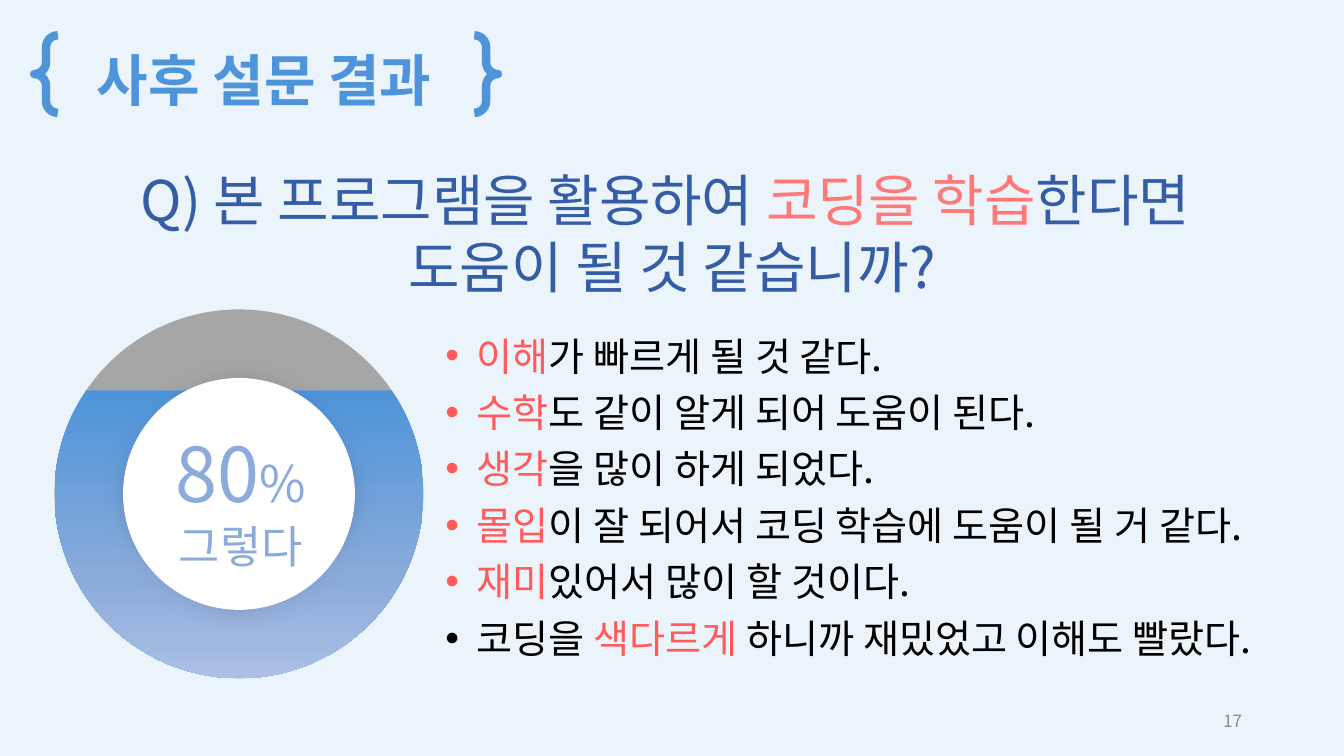
from copy import deepcopy
from dataclasses import dataclass
from math import asin, cos, pi, sin

from lxml.etree import SubElement
from pptx import Presentation
from pptx.dml.color import RGBColor
from pptx.enum.shapes import MSO_SHAPE
from pptx.enum.text import MSO_ANCHOR, PP_ALIGN
from pptx.oxml.ns import qn
from pptx.shapes.base import BaseShape
from pptx.slide import Slide
from pptx.text.text import TextFrame
from pptx.util import Inches, Pt

WIDTH, HEIGHT = Inches(13.333), Inches(7.5)
FONT = "Noto Sans CJK KR"
BLUE, NAVY, PALE_BLUE = "4E94DA", "345DA6", "8BABDA"
CORAL, PINK, BLACK = "FF5B5B", "FF7979", "000000"
RING_GRADIENT = [(0, BLUE), (0.65, PALE_BLUE), (1, "ABC0E4")]
RING_X, RING_Y = int(WIDTH * 0.1778), int(HEIGHT * 0.6533)
RING_SHARE = 0.488
BAND_TOP = 0.5165


@dataclass
class Box:
    """A rectangle in percent of the slide's width and height."""
    left: float
    top: float
    width: float
    height: float

    def lengths(self) -> tuple[int, int, int, int]:
        return (int(WIDTH * self.left / 100), int(HEIGHT * self.top / 100),
                int(WIDTH * self.width / 100), int(HEIGHT * self.height / 100))


@dataclass
class Piece:
    text: str
    color: str
    size: float | None = None


@dataclass
class TextBlock:
    box: Box
    lines: list[list[Piece]]
    size: float
    align: PP_ALIGN = PP_ALIGN.CENTER
    bold: bool = False
    bullets: bool = False
    wrap: bool = False
    anchor: MSO_ANCHOR = MSO_ANCHOR.TOP


TITLE = TextBlock(Box(1.05, 5.33, 37.2, 10.27), [[Piece("사후 설문 결과", BLUE)]],
                  40, bold=True, wrap=True)
TEXT_BLOCKS = [
    TextBlock(Box(11.4, 55.87, 13.05, 13.47),
              [[Piece("80", PALE_BLUE), Piece("%", PALE_BLUE, 36)]], 54),
    TextBlock(Box(12.3, 68, 11.25, 8.53), [[Piece("그렇다", PALE_BLUE)]], 32),
    TextBlock(Box(6.38, 21.2, 87.22, 19.33), [
        [Piece("Q) 본 프로그램을 활용하여 ", NAVY), Piece("코딩을 학습", PINK),
         Piece("한다면 ", NAVY)],
        [Piece("도움이 될 것 같습니까?", NAVY)],
    ], 40),
    TextBlock(Box(32.4, 42, 65.33, 46.53), [
        [Piece("이해", CORAL), Piece("가 빠르게 될 것 같다.", BLACK)],
        [Piece("수학", CORAL), Piece("도 같이 알게 되어 도움이 된다.", BLACK)],
        [Piece("생각", CORAL), Piece("을 많이 하게 되었다.", BLACK)],
        [Piece("몰입", CORAL), Piece("이 잘 되어서 코딩 학습에 도움이 될 거 같다.", BLACK)],
        [Piece("재미", CORAL), Piece("있어서 많이 할 것이다.", BLACK)],
        [Piece("코딩을 ", BLACK), Piece("색다르게", CORAL),
         Piece(" 하니까 재밌었고 이해도 빨랐다.", BLACK)],
    ], 28, align=PP_ALIGN.LEFT, bullets=True),
    TextBlock(Box(70.65, 92.67, 22.5, 5.33), [[Piece("17", "8C8C8C")]], 12,
              align=PP_ALIGN.RIGHT, wrap=True, anchor=MSO_ANCHOR.MIDDLE),
]


def rgb(color: str) -> RGBColor:
    return RGBColor.from_string(color)


def write_text(frame: TextFrame, block: TextBlock) -> None:
    frame.word_wrap = block.wrap
    frame.vertical_anchor = block.anchor
    for index, pieces in enumerate(block.lines):
        paragraph = frame.add_paragraph() if index else frame.paragraphs[0]
        paragraph.alignment = block.align
        if block.bullets:
            paragraph.line_spacing = 1.2
            properties = paragraph._p.get_or_add_pPr()
            properties.set("marL", str(Inches(0.31)))
            properties.set("indent", str(-Inches(0.31)))
            SubElement(properties, qn("a:buFont"), typeface="Arial")
            SubElement(properties, qn("a:buChar"), char="•")
        paragraph.font.name = FONT
        paragraph.font.size = Pt(block.size)
        paragraph.font.bold = block.bold
        for piece in pieces:
            run = paragraph.add_run()
            run.text = piece.text
            run.font.color.rgb = rgb(piece.color)
            if piece.size:
                run.font.size = Pt(piece.size)
            SubElement(run._r.get_or_add_rPr(), qn("a:ea"), typeface=FONT)


def add_title(slide: Slide) -> None:
    title = slide.shapes.title
    title.left, title.top, title.width, title.height = TITLE.box.lengths()
    write_text(title.text_frame, TITLE)


def add_braces(slide: Slide) -> None:
    braces = slide.shapes.add_shape(MSO_SHAPE.DOUBLE_BRACE,
                                    *Box(2.55, 4.67, 34.5, 10.27).lengths())
    braces.adjustments[0] = 0.152
    braces.shadow.inherit = False
    braces.fill.background()
    braces.line.color.rgb = rgb(BLUE)
    braces.line.width = Pt(6)


def add_disc(slide: Slide, share: float, color: str) -> BaseShape:
    """Add a circle on the ring's centre; share is diameter over slide height."""
    diameter = int(HEIGHT * share)
    disc = slide.shapes.add_shape(MSO_SHAPE.OVAL, RING_X - diameter // 2,
                                  RING_Y - diameter // 2, diameter, diameter)
    disc.shadow.inherit = False
    disc.fill.solid()
    disc.fill.fore_color.rgb = rgb(color)
    disc.line.fill.background()
    return disc


def add_yes_band(slide: Slide) -> None:
    """Fill the ring's circle below the chord at BAND_TOP."""
    radius = HEIGHT * RING_SHARE / 2
    start = asin((HEIGHT * BAND_TOP - RING_Y) / radius)
    steps = 120
    angles = [start + (pi - 2 * start) * step / steps for step in range(steps + 1)]
    points = [(RING_X + radius * cos(angle), RING_Y + radius * sin(angle))
              for angle in angles]
    builder = slide.shapes.build_freeform(*points[0])
    builder.add_line_segments(points[1:], close=True)
    band = builder.convert_to_shape()
    band.shadow.inherit = False
    band.line.fill.background()
    band.fill.gradient()
    band.fill.gradient_angle = 270
    stop_list = band.fill._fill._gradFill.gsLst
    stop_list.append(deepcopy(stop_list[-1]))
    for stop, (position, color) in zip(band.fill.gradient_stops, RING_GRADIENT):
        stop.position = position
        stop.color.rgb = rgb(color)


def add_ring(slide: Slide) -> None:
    add_disc(slide, RING_SHARE, "A6A6A6")
    add_yes_band(slide)
    shade = add_disc(slide, 0.3853, "181717")
    SubElement(shade._element.spPr.find(qn("a:effectLst")), qn("a:softEdge"),
               rad=str(Inches(0.44)))
    add_disc(slide, 0.3067, "FFFFFF")


def main() -> None:
    presentation = Presentation()
    presentation.slide_width, presentation.slide_height = WIDTH, HEIGHT
    slide = presentation.slides.add_slide(presentation.slide_layouts[5])
    slide.background.fill.solid()
    slide.background.fill.fore_color.rgb = rgb("EBF4FB")
    add_title(slide)
    add_braces(slide)
    add_ring(slide)
    for block in TEXT_BLOCKS:
        text_box = slide.shapes.add_textbox(*block.box.lengths())
        write_text(text_box.text_frame, block)
    presentation.save("out.pptx")


if __name__ == "__main__":
    main()
